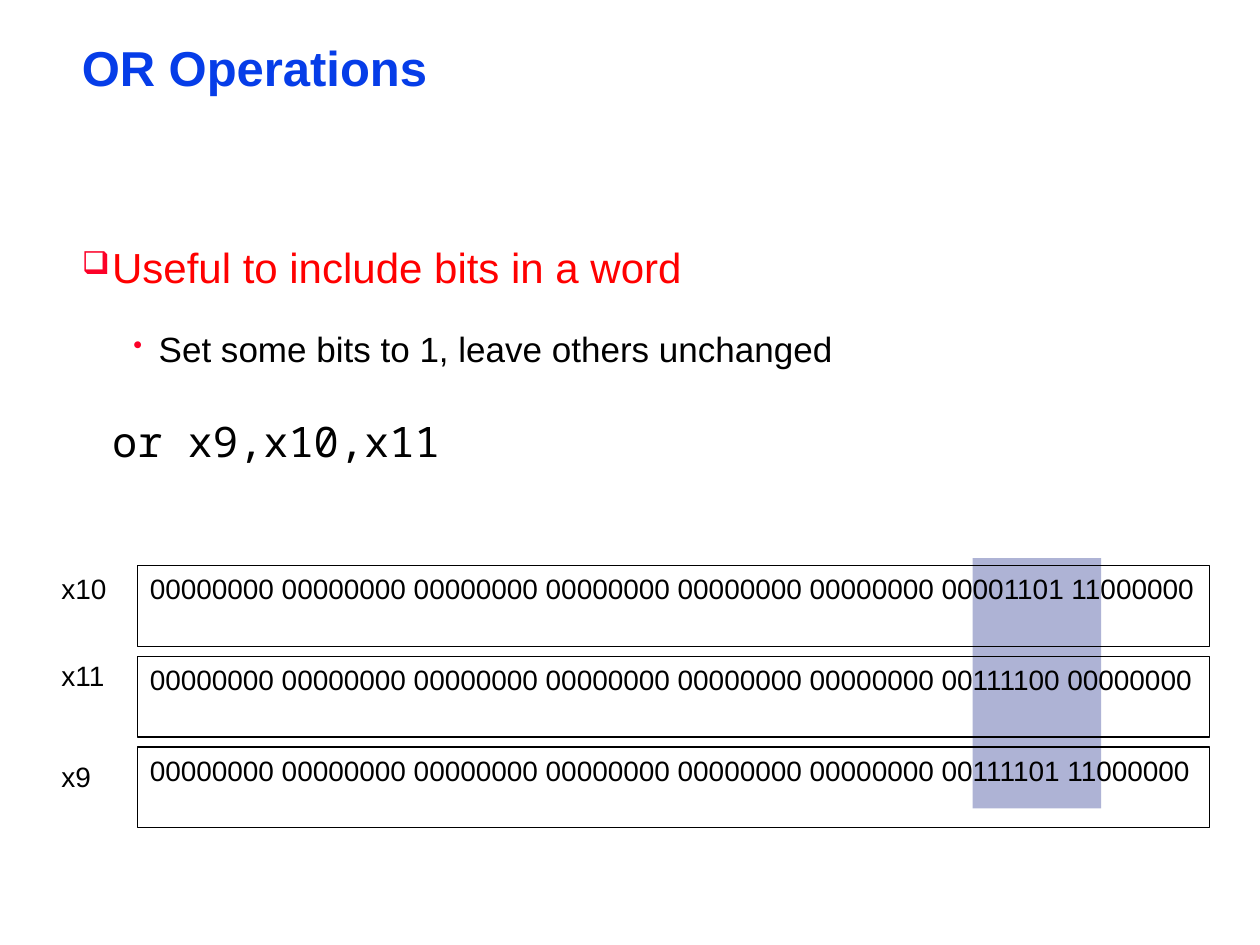
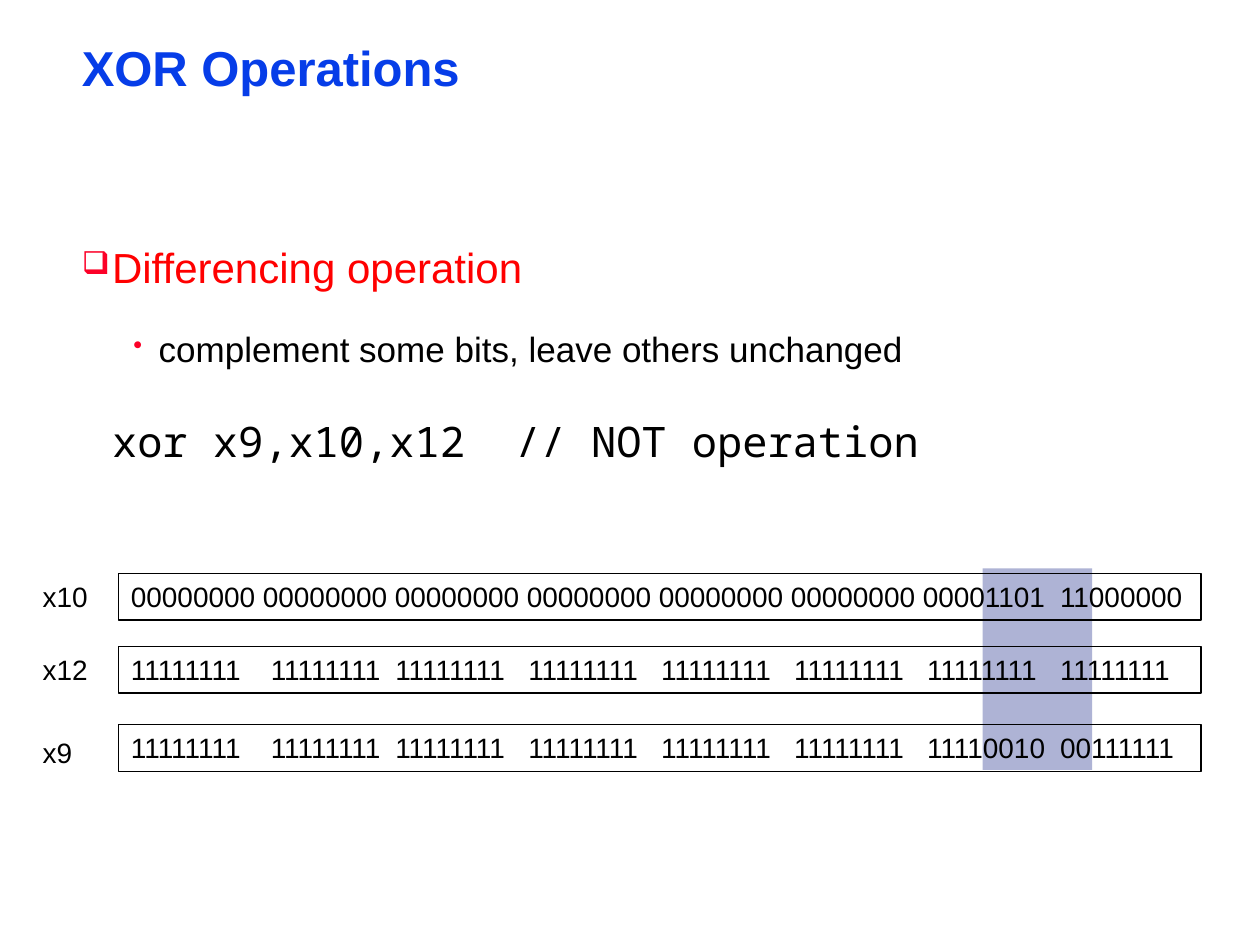
"""Build two slides on bitwise OR and XOR operations."""
from dataclasses import dataclass

import lxml.etree
import pptx
import pptx.dml.color
import pptx.enum.shapes
import pptx.enum.text
import pptx.oxml.ns
import pptx.slide
import pptx.text.text
import pptx.util

Cm = pptx.util.Cm
Pt = pptx.util.Pt


@dataclass(frozen=True)
class Theme:
    """Colours, fonts and type sizes shared by the slides."""
    title_colour: str = "063DE8"
    topic_colour: str = "FF0000"
    bullet_colour: str = "FC0128"
    text_colour: str = "000000"
    band_colour: str = "AEB3D5"
    font: str = "Arial"
    code_font: str = "Noto Sans Mono"
    title_size: int = 28
    topic_size: int = 24
    detail_size: int = 20
    register_size: int = 16
    border_width: float = 0.75
    bullet_percent: int = 75


THEME = Theme()


@dataclass(frozen=True)
class Box:
    """A rectangle in centimetres."""
    left: float
    top: float
    width: float
    height: float

    def lengths(self) -> tuple:
        """Return the four measures as lengths."""
        return Cm(self.left), Cm(self.top), Cm(self.width), Cm(self.height)


@dataclass(frozen=True)
class TextStyle:
    """How a run of text looks."""
    size: int
    colour: str = THEME.text_colour
    font: str = THEME.font
    bold: bool = False


@dataclass(frozen=True)
class BodyStyle:
    """Text style, indents in centimetres and spacing in percent."""
    text: TextStyle
    margin: float
    hanging: float
    before: int
    after: int = 0
    bullet: str = ""


@dataclass(frozen=True)
class Register:
    """A register name, its bits and the tops of its label and cell."""
    name: str
    bits: str
    label_top: float
    cell_top: float


@dataclass(frozen=True)
class Operation:
    """The content of one slide."""
    title: str
    topic: str
    detail: str
    code: str
    band: Box
    label_left: float
    cell_left: float
    cell_width: float
    cell_height: float
    registers: tuple[Register, ...]


TITLE_BOX = Box(1.47, 0.84, 22.66, 1.19)
BODY_BOX = Box(1.47, 4.29, 22.66, 7.19)
LABEL_WIDTH, LABEL_HEIGHT = 1.8, 0.94
BODY_INSETS = (0.18, 0.08)
BYTE_STOPS = [2.82] + [5.33 + 2.68 * step for step in range(6)]

TITLE_STYLE = TextStyle(THEME.title_size, THEME.title_colour, bold=True)
REGISTER_STYLE = TextStyle(THEME.register_size)
TOPIC_STYLE = BodyStyle(TextStyle(THEME.topic_size, THEME.topic_colour),
                        0.61, 0.61, 65, bullet="\u2751")
DETAIL_STYLE = BodyStyle(TextStyle(THEME.detail_size), 1.55, 0.51, 40, bullet="\u2022")
CODE_STYLE = BodyStyle(TextStyle(THEME.topic_size, font=THEME.code_font),
                       0.61, 0, 50, after=30)

ZEROS, ONES = "0" * 8, "1" * 8
LEADING_ZEROS = " ".join([ZEROS] * 6)

OPERATIONS = (
    Operation(
        "OR Operations", "Useful to include bits in a word",
        "Set some bits to 1, leave others unchanged", "or x9,x10,x11",
        Box(19.61, 11.25, 2.59, 5.05), 0.99, 2.77, 21.62, 1.63,
        (Register("x10", f"{LEADING_ZEROS} 00001101 11000000", 11.4, 11.4),
         Register("x11", f"{LEADING_ZEROS} 00111100 00000000", 13.16, 13.23),
         Register("x9", f"{LEADING_ZEROS} 00111101 11000000", 15.19, 15.06))),
    Operation(
        "XOR Operations", "Differencing operation",
        "complement some bits, leave others unchanged",
        "xor x9,x10,x12  // NOT operation",
        Box(19.81, 11.46, 2.21, 4.06), 0.61, 2.39, 21.82, 0.94,
        (Register("x10", f"{LEADING_ZEROS} 00001101\t11000000", 11.56, 11.56),
         Register("x12", "\t".join([ONES] * 8), 13.03, 13.03),
         Register("x9", "\t".join([ONES] * 6 + ["11110010", "00111111"]), 14.71, 14.61))),
)


def rgb(colour: str) -> pptx.dml.color.RGBColor:
    """Turn a hexadecimal string into a colour."""
    return pptx.dml.color.RGBColor.from_string(colour)


def add_element(parent: lxml.etree._Element, tag: str, **attributes: object) -> lxml.etree._Element:
    """Append a DrawingML element."""
    values = {name: str(value) for name, value in attributes.items()}
    return lxml.etree.SubElement(parent, pptx.oxml.ns.qn(f"a:{tag}"), values)


def add_run(paragraph: pptx.text.text._Paragraph, text: str, style: TextStyle) -> None:
    """Append one styled run."""
    run = paragraph.add_run()
    run.text = text
    run.font.name = style.font
    run.font.size = Pt(style.size)
    run.font.bold = style.bold
    run.font.color.rgb = rgb(style.colour)


def add_text_frame(slide: pptx.slide.Slide, box: Box,
                   insets: tuple[float, float] | None = None) -> pptx.text.text.TextFrame:
    """Add a wrapping text box and return its text frame."""
    frame = slide.shapes.add_textbox(*box.lengths()).text_frame
    frame.word_wrap = True
    if insets:
        frame.margin_left = frame.margin_right = Cm(insets[0])
        frame.margin_top = frame.margin_bottom = Cm(insets[1])
    return frame


def add_title(slide: pptx.slide.Slide, text: str) -> None:
    """Add the slide title."""
    paragraph = add_text_frame(slide, TITLE_BOX, BODY_INSETS).paragraphs[0]
    paragraph.line_spacing = 0.87
    add_run(paragraph, text, TITLE_STYLE)


def format_body(paragraph: pptx.text.text._Paragraph, style: BodyStyle) -> None:
    """Set the indents, spacing and bullet of a body paragraph."""
    paragraph.line_spacing = 1.5
    properties = paragraph._p.get_or_add_pPr()
    properties.set("marL", str(Cm(style.margin)))
    properties.set("indent", str(-Cm(style.hanging)))
    for tag, percent in (("spcBef", style.before), ("spcAft", style.after)):
        add_element(add_element(properties, tag), "spcPct", val=percent * 1000)
    if style.bullet:
        add_element(add_element(properties, "buClr"), "srgbClr", val=THEME.bullet_colour)
        add_element(properties, "buSzPct", val=THEME.bullet_percent * 1000)
        add_element(properties, "buChar", char=style.bullet)


def add_body(slide: pptx.slide.Slide, operation: Operation) -> None:
    """Add the topic, its detail and the line of code."""
    frame = add_text_frame(slide, BODY_BOX, BODY_INSETS)
    lines = ((operation.topic, TOPIC_STYLE), (operation.detail, DETAIL_STYLE),
             (operation.code, CODE_STYLE))
    for index, (text, style) in enumerate(lines):
        paragraph = frame.add_paragraph() if index else frame.paragraphs[0]
        format_body(paragraph, style)
        add_run(paragraph, text, style.text)


def add_rectangle(slide: pptx.slide.Slide, box: Box, fill: str = "",
                  line: str = "") -> pptx.text.text.TextFrame:
    """Add a rectangle with an optional fill and line; return its text frame."""
    shape = slide.shapes.add_shape(pptx.enum.shapes.MSO_SHAPE.RECTANGLE, *box.lengths())
    shape.shadow.inherit = False
    if fill:
        shape.fill.solid()
        shape.fill.fore_color.rgb = rgb(fill)
    else:
        shape.fill.background()
    if line:
        shape.line.color.rgb = rgb(line)
        shape.line.width = Pt(THEME.border_width)
    else:
        shape.line.fill.background()
    return shape.text_frame


def add_register(slide: pptx.slide.Slide, operation: Operation, register: Register) -> None:
    """Add a register label and the cell that holds its bits."""
    label_box = Box(operation.label_left, register.label_top, LABEL_WIDTH, LABEL_HEIGHT)
    add_run(add_text_frame(slide, label_box).paragraphs[0], register.name, REGISTER_STYLE)

    cell_box = Box(operation.cell_left, register.cell_top,
                   operation.cell_width, operation.cell_height)
    frame = add_rectangle(slide, cell_box, line=THEME.text_colour)
    frame.word_wrap = True
    frame.vertical_anchor = pptx.enum.text.MSO_ANCHOR.TOP
    paragraph = frame.paragraphs[0]
    paragraph.alignment = pptx.enum.text.PP_ALIGN.LEFT
    if "\t" in register.bits:
        stops = add_element(paragraph._p.get_or_add_pPr(), "tabLst")
        for position in BYTE_STOPS:
            add_element(stops, "tab", pos=Cm(position), algn="l")
    add_run(paragraph, register.bits, REGISTER_STYLE)


def add_operation_slide(presentation: pptx.presentation.Presentation,
                        operation: Operation) -> None:
    """Add the slide of one bitwise operation."""
    slide = presentation.slides.add_slide(presentation.slide_layouts[6])
    add_title(slide, operation.title)
    add_body(slide, operation)
    add_rectangle(slide, operation.band, fill=THEME.band_colour)
    for register in operation.registers:
        add_register(slide, operation, register)


def main() -> None:
    """Build and save the presentation."""
    presentation = pptx.Presentation()
    presentation.slide_width, presentation.slide_height = Cm(25.4), Cm(19.05)
    for operation in OPERATIONS:
        add_operation_slide(presentation, operation)
    presentation.save("out.pptx")


main()
